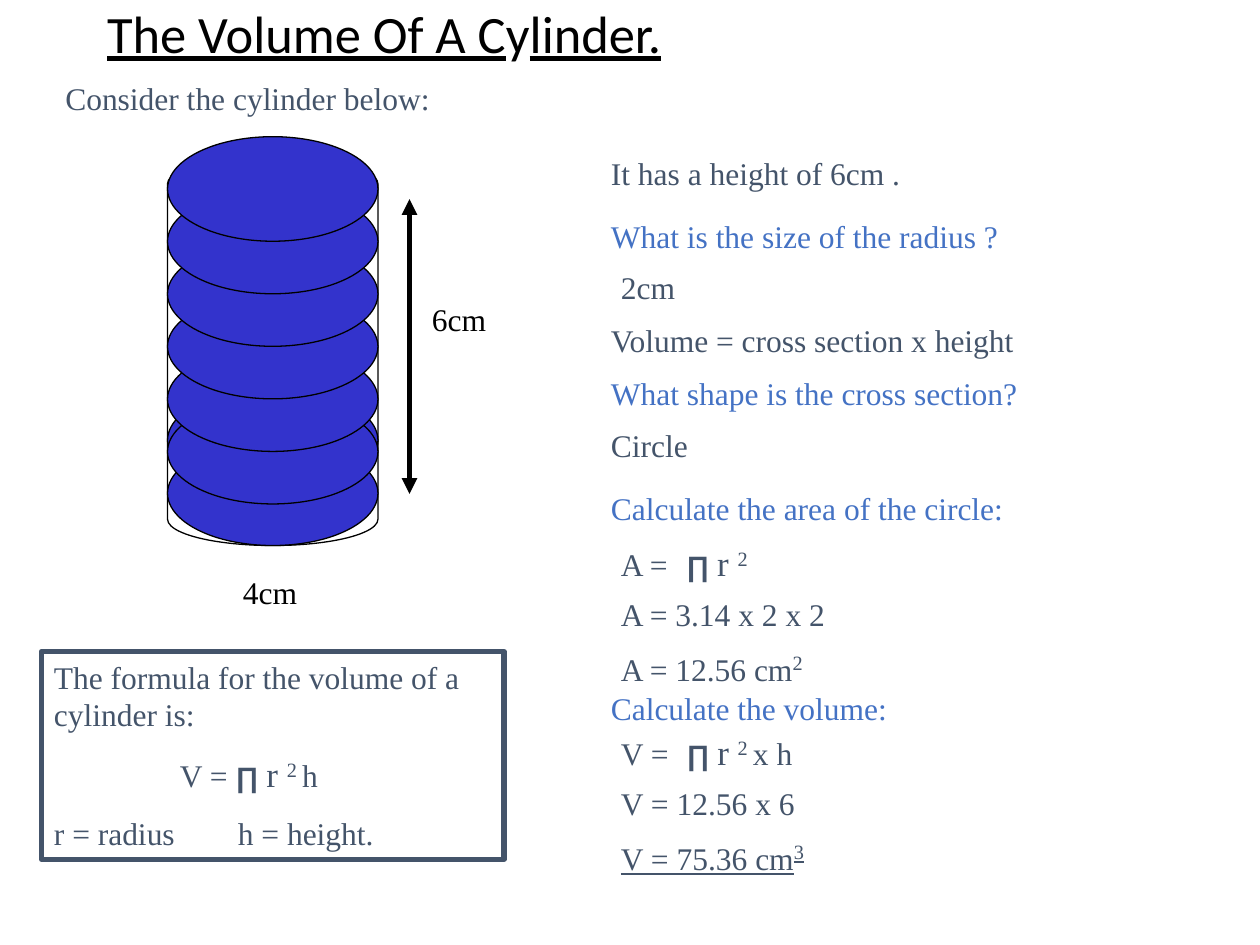
from lxml import etree
from pptx import Presentation
from pptx.dml.color import RGBColor
from pptx.enum.shapes import MSO_CONNECTOR, MSO_SHAPE
from pptx.enum.text import MSO_ANCHOR, PP_ALIGN
from pptx.oxml.ns import qn
from pptx.util import Inches, Pt

COLORS = {"black": "000000", "slate": "44546A", "blue": "4472C4", "disc": "3333CC"}
SERIF = "Times New Roman"

# A run is (text, format); a paragraph is a list of runs.
PI_R = [("∏ ", dict(size=16, font="Arial", bold=True)), ("r ", dict(size=20))]
SUP = dict(size=20, sup=True)
TITLE = [("The Volume Of A C", dict(underline=True)), ("y", {}),
         ("linder.", dict(underline=True))]
INTRO = [("Consider the cylinder below:", {})]
FORMULA = [
    [("The formula for the volume of a cylinder is:", {})],
    [("\tV = ", {}), *PI_R, ("2 ", SUP), ("h", {})],
    [("r = radius\th = height.", {})],
]
FORMULA_TABS = [None, 1, 1.46]

# left, top, width, colour, runs
QUESTION_X, ANSWER_X = 4.75, 4.83
STEPS = [
    (QUESTION_X, 1.17, 3.58, "slate", [("It has a height of 6cm .", {})]),
    (QUESTION_X, 1.67, 4.58, "blue", [("What is the size of the radius ?", {})]),
    (ANSWER_X, 2.08, 0.83, "slate", [("2cm", {})]),
    (QUESTION_X, 2.5, 4.75, "slate", [("Volume = cross section x height", {})]),
    (QUESTION_X, 2.92, 4.58, "blue", [("What shape is the cross section?", {})]),
    (QUESTION_X, 3.33, 1.42, "slate", [("Circle", {})]),
    (QUESTION_X, 3.83, 4.42, "blue", [("Calculate the area of the circle:", {})]),
    (ANSWER_X, 4.25, 1.5, "slate", [("A =\t", {}), *PI_R, ("2", SUP)]),
    (ANSWER_X, 4.67, 2.67, "slate", [("A = 3.14 x 2 x 2", {})]),
    (ANSWER_X, 5.08, 2.17, "slate", [("A = 12.56 cm", {}), ("2", SUP)]),
    (QUESTION_X, 5.42, 4.33, "blue", [("Calculate the volume:", {})]),
    (ANSWER_X, 5.75, 2.25, "slate", [("V =\t", {}), *PI_R, ("2 ", SUP), ("x h", {})]),
    (ANSWER_X, 6.17, 2.25, "slate", [("V = 12.56 x 6", {})]),
    (ANSWER_X, 6.58, 2.42, "slate",
     [("V = 75.36 cm", dict(underline=True)), ("3", dict(SUP, underline=True))]),
]
EQUALS_TAB = 0.52

CYL_X, CYL_W, DISC_H, DISC_STEP = 1.33, 1.67, 0.83, 0.417
DISC_TOPS = [3.5, 3.08] + [3.17 - DISC_STEP * i for i in range(6)]
ARROWS = [(CYL_X, 3.92, CYL_X + CYL_W, 3.92), (3.25, 1.58, 3.25, 3.92)]
DIMENSIONS = [("4cm", 1.83, 4.5, 1), ("6cm", 3.33, 2.33, 0.92)]


def rgb(name):
    return RGBColor.from_string(COLORS[name])


def add_run(p, text, color="slate", size=18, font=SERIF, bold=False,
            underline=False, sup=False):
    r = p.add_run()
    r.text = text
    r.font.name, r.font.size = font, Pt(size)
    r.font.bold, r.font.underline = bold, underline
    r.font.color.rgb = rgb(color)
    if sup:
        r.font._element.set("baseline", "30000")


def write(p, runs, tab=None, **fmt):
    """Fill a left-aligned paragraph, with one tab stop if it needs it."""
    p.alignment = PP_ALIGN.LEFT
    if tab:
        tabs = etree.SubElement(p._p.get_or_add_pPr(), qn("a:tabLst"))
        etree.SubElement(tabs, qn("a:tab"), pos=str(Inches(tab)), algn="l")
    for text, own in runs:
        add_run(p, text, **{**fmt, **own})


def add_text(slide, runs, x, y, w, color="slate"):
    tf = slide.shapes.add_textbox(Inches(x), Inches(y), Inches(w), Inches(0.4)).text_frame
    tf.word_wrap = True
    has_tab = any("\t" in text for text, _ in runs)
    write(tf.paragraphs[0], runs, EQUALS_TAB if has_tab else None, color=color)


def add_outlined(slide, kind, x, y, w, h, fill=None, line="black", weight=0.75):
    sp = slide.shapes.add_shape(kind, Inches(x), Inches(y), Inches(w), Inches(h))
    sp.shadow.inherit = False
    if fill:
        sp.fill.solid()
        sp.fill.fore_color.rgb = rgb(fill)
    else:
        sp.fill.background()
    sp.line.color.rgb = rgb(line)
    sp.line.width = Pt(weight)
    return sp


def add_double_arrow(slide, *ends):
    cxn = slide.shapes.add_connector(MSO_CONNECTOR.STRAIGHT, *map(Inches, ends))
    cxn.line.color.rgb = rgb("black")
    cxn.line.width = Pt(3)
    ln = cxn.line._get_or_add_ln()
    for end in ("a:headEnd", "a:tailEnd"):
        etree.SubElement(ln, qn(end), type="triangle")
    etree.SubElement(cxn._element.spPr, qn("a:effectLst"))


def add_title(slide):
    title = slide.shapes.title
    title.left, title.top = Inches(0.75), Inches(0)
    title.width, title.height = Inches(8.5), Inches(0.58)
    tf = title.text_frame
    tf.vertical_anchor = MSO_ANCHOR.MIDDLE
    tf.paragraphs[0].line_spacing = 0.9
    write(tf.paragraphs[0], TITLE, color="black", size=30, font="Calibri")


def add_cylinder(slide):
    add_outlined(slide, MSO_SHAPE.CAN, CYL_X, 1.25, CYL_W, 3.08)
    for ends in ARROWS:
        add_double_arrow(slide, *ends)
    for top in DISC_TOPS:
        add_outlined(slide, MSO_SHAPE.OVAL, CYL_X, top, CYL_W, DISC_H, fill="disc")
    for text, x, y, w in DIMENSIONS:
        add_text(slide, [(text, {})], x, y, w, "black")


def add_formula(slide):
    box = add_outlined(slide, MSO_SHAPE.RECTANGLE, 0.33, 5.17, 3.67, 1.65,
                       line="slate", weight=3)
    tf = box.text_frame
    tf.word_wrap = True
    tf.vertical_anchor = MSO_ANCHOR.TOP
    for i, (runs, tab) in enumerate(zip(FORMULA, FORMULA_TABS)):
        p = tf.add_paragraph() if i else tf.paragraphs[0]
        if i:
            p.space_before = Pt(11.2)
        write(p, runs, tab)


def main():
    prs = Presentation()
    prs.slide_width, prs.slide_height = Inches(10), Inches(7.5)
    slide = prs.slides.add_slide(prs.slide_layouts[5])
    add_title(slide)
    add_text(slide, INTRO, 0.42, 0.58, 4.17)
    add_cylinder(slide)
    for x, y, w, color, runs in STEPS:
        add_text(slide, runs, x, y, w, color)
    add_formula(slide)
    prs.save("out.pptx")


if __name__ == "__main__":
    main()
